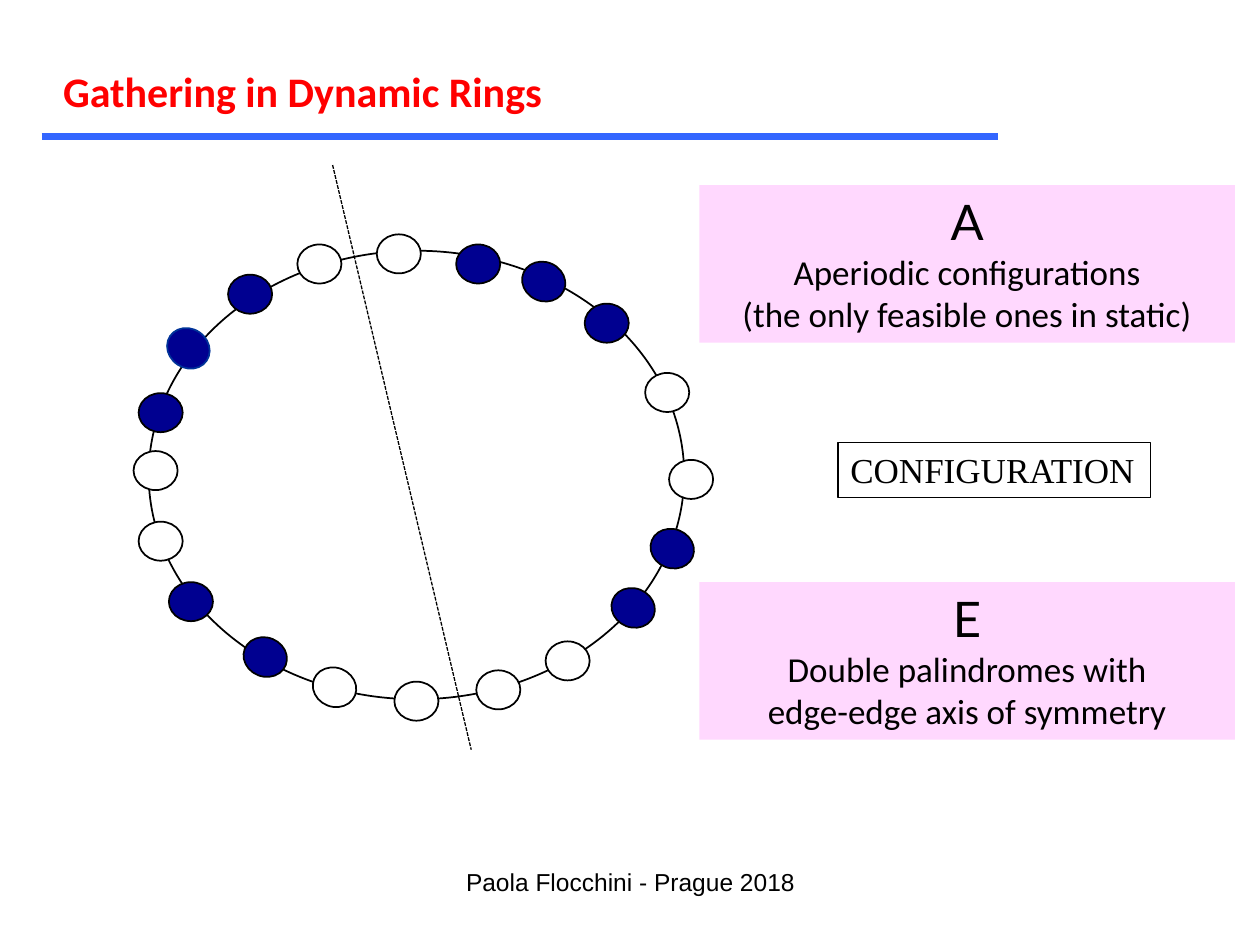
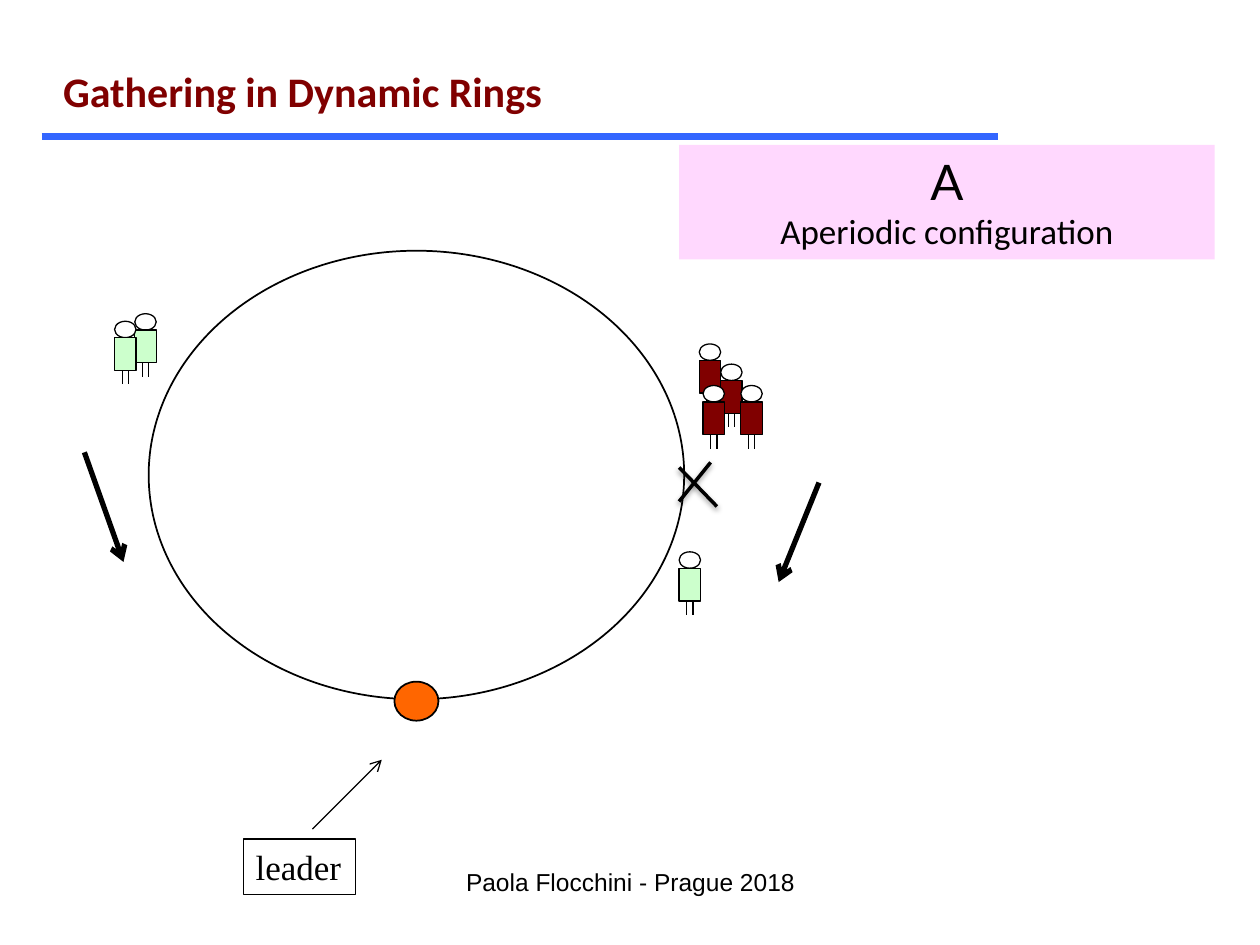
from lxml import etree
from pptx import Presentation
from pptx import util as u
from pptx.dml.color import RGBColor
from pptx.enum import dml, shapes, text
from pptx.oxml import ns

COLORS = {
    "black": "000000", "white": "FFFFFF", "navy": "000090", "blue": "003399",
    "band": "3366FF", "red": "FF0000", "maroon": "800000", "pink": "FFD8FE",
    "orange": "FF6600", "green": "CCFFCC",
}
OVAL, RECTANGLE = shapes.MSO_SHAPE.OVAL, shapes.MSO_SHAPE.RECTANGLE
STRAIGHT = shapes.MSO_CONNECTOR.STRAIGHT
LEFT, CENTER = text.PP_ALIGN.LEFT, text.PP_ALIGN.CENTER
NODE_SIZE = (u.Inches(0.35), u.Inches(0.31))


def write_text(shape, content, size=20, font="Calibri", color="black",
               bold=False, align=LEFT, wrap=True, first_size=None, first_font=None):
    """Fill a shape with one paragraph per line; the first may differ."""
    frame = shape.text_frame
    frame.text = content
    frame.word_wrap = wrap
    frame.auto_size = text.MSO_AUTO_SIZE.NONE
    frame.vertical_anchor = text.MSO_ANCHOR.TOP
    for index, paragraph in enumerate(frame.paragraphs):
        first = index == 0
        paragraph.alignment = align
        paragraph.font.size = u.Pt(first_size if first and first_size else size)
        paragraph.font.name = first_font if first and first_font else font
        paragraph.font.bold = bold
        paragraph.font.color.rgb = RGBColor.from_string(COLORS[color])


def paint(shape, line="black", width=0.75, fill=None, dash=None, arrow=False, shadow=False):
    """Format a shape or connector; None means no line or no fill."""
    if line:
        shape.line.color.rgb = RGBColor.from_string(COLORS[line])
        shape.line.width = u.Pt(width)
        if dash:
            shape.line.dash_style = dash
    else:
        shape.line.fill.background()
    if fill:
        shape.fill.solid()
        shape.fill.fore_color.rgb = RGBColor.from_string(COLORS[fill])
    elif hasattr(shape, "fill"):
        shape.fill.background()
    if arrow:
        etree.SubElement(shape.line._get_or_add_ln(), ns.qn("a:tailEnd"), type="arrow")
    effects = etree.SubElement(shape._element.spPr, ns.qn("a:effectLst"))
    if shadow:
        outer = etree.SubElement(effects, ns.qn("a:outerShdw"), blurRad=str(u.Pt(3.1)),
                                 dist=str(u.Pt(1.6)), dir="5400000", rotWithShape="0")
        tint = etree.SubElement(outer, ns.qn("a:srgbClr"), val=COLORS["black"])
        etree.SubElement(tint, ns.qn("a:alpha"), val="38000")


presentation = Presentation()
presentation.slide_width, presentation.slide_height = u.Inches(10), u.Inches(7.5)
title_only = presentation.slide_layouts[5]

# Shared frame: title, band, footer and ring
slides = []
for title_color in ("red", "maroon"):
    slide = presentation.slides.add_slide(title_only)
    slides.append(slide)
    title = slide.shapes.title
    title.left, title.top = u.Inches(0.4), u.Inches(0.47)
    title.width, title.height = u.Inches(4.05), u.Inches(0.5)
    write_text(title, "Gathering in Dynamic Rings", size=24, color=title_color,
               bold=True, wrap=False)
    band = slide.shapes.add_connector(
        STRAIGHT, u.Inches(0.33), u.Inches(1.08), u.Inches(7.92), u.Inches(1.08))
    paint(band, "band", 4)
    footer = slide.shapes.add_textbox(
        u.Inches(3.42), u.Inches(6.83), u.Inches(3.17), u.Inches(0.5))
    write_text(footer, "Paola Flocchini - Prague 2018", size=14, font="Arial", align=CENTER)
    ring = slide.shapes.add_shape(
        OVAL, u.Inches(1.18), u.Inches(1.99), u.Inches(4.25), u.Inches(3.56))
    paint(ring, width=1)
configuration_slide, aperiodic_slide = slides

# Pink boxes: slide, left, top, height, lines
for slide, left, top, height, content in (
    (configuration_slide, 5.55, 1.47, 1.25,
     "A\nAperiodic configurations\n(the only feasible ones in static)"),
    (configuration_slide, 5.55, 4.62, 1.25,
     "E\nDouble palindromes with\nedge-edge axis of symmetry"),
    (aperiodic_slide, 5.39, 1.15, 0.91, "A\nAperiodic configuration"),
):
    box = slide.shapes.add_shape(
        RECTANGLE, u.Inches(left), u.Inches(top), u.Inches(4.25), u.Inches(height))
    paint(box, line=None, fill="pink")
    write_text(box, content, align=CENTER, first_size=28, first_font="Lato")

# Outlined labels
for slide, left, top, width, content in (
    (configuration_slide, 6.65, 3.51, 2.48, "CONFIGURATION"),
    (aperiodic_slide, 1.93, 6.66, 0.89, "leader"),
):
    label = slide.shapes.add_shape(
        RECTANGLE, u.Inches(left), u.Inches(top), u.Inches(width), u.Inches(0.44))
    paint(label)
    write_text(label, content, font="Times New Roman", wrap=False)

# Slide 1: ring nodes clockwise from the top (left, top, fill, rotation, line)
nodes = configuration_slide.shapes.add_group_shape()
for left, top, fill, rotation, line in (
    (2.99, 1.86, "white", 0, "black"),
    (3.62, 1.94, "navy", 0, "black"),
    (4.14, 2.08, "navy", 24.4, "black"),
    (4.64, 2.41, "navy", 0, "black"),
    (5.12, 2.96, "white", 0, "black"),
    (5.31, 3.65, "white", 0, "black"),
    (5.16, 4.2, "navy", 21.5, "black"),
    (4.85, 4.67, "navy", 21.5, "black"),
    (4.33, 5.09, "white", 0, "black"),
    (3.78, 5.32, "white", 0, "black"),
    (3.13, 5.41, "white", 0, "black"),
    (2.48, 5.3, "white", 21.5, "black"),
    (1.93, 5.06, "navy", 21.5, "black"),
    (1.34, 4.62, "navy", 0, "black"),
    (1.1, 4.14, "white", 0, "black"),
    (1.06, 3.58, "white", 0, "black"),
    (1.1, 3.12, "navy", 0, "black"),
    (1.32, 2.61, "navy", 33.8, "blue"),
    (1.81, 2.18, "navy", 0, "black"),
    (2.36, 1.94, "white", 0, "black"),
):
    node = nodes.shapes.add_shape(OVAL, u.Inches(left), u.Inches(top), *NODE_SIZE)
    node.rotation = rotation
    paint(node, line, 1, fill)

# Slide 1: axis of symmetry
axis = configuration_slide.shapes.add_connector(
    STRAIGHT, u.Inches(2.64), u.Inches(1.31), u.Inches(3.74), u.Inches(5.95))
paint(axis, dash=dml.MSO_LINE.SQUARE_DOT)

# Slide 2: leader node
leader = aperiodic_slide.shapes.add_shape(OVAL, u.Inches(3.13), u.Inches(5.41), *NODE_SIZE)
paint(leader, width=1, fill="orange")

# Slide 2: agents, each a head, a body and two legs
for left, top, color in (
    (5.55, 2.73, "maroon"), (5.72, 2.89, "maroon"),
    (5.58, 3.06, "maroon"), (5.88, 3.06, "maroon"),
    (1.07, 2.49, "green"), (0.91, 2.55, "green"), (5.39, 4.38, "green"),
):
    agent = aperiodic_slide.shapes.add_group_shape()
    for preset, offset, height, fill in ((OVAL, 0, 0.13, "white"), (RECTANGLE, 0.13, 0.26, color)):
        part = agent.shapes.add_shape(
            preset, u.Inches(left), u.Inches(top + offset), u.Inches(0.17), u.Inches(height))
        paint(part, fill=fill)
    for offset in (0.06, 0.11):
        leg = agent.shapes.add_connector(
            STRAIGHT, u.Inches(left + offset), u.Inches(top + 0.39),
            u.Inches(left + offset), u.Inches(top + 0.5))
        paint(leg)

# Slide 2: arrows and the cross on the missing edge
for start_x, start_y, end_x, end_y, width, is_arrow in (
    (6.5, 3.83, 6.18, 4.62, 3, True),
    (0.67, 3.59, 0.98, 4.46, 3, True),
    (2.48, 6.58, 3.03, 6.03, 0.75, True),
    (5.39, 3.71, 5.69, 4.02, 2, False),
    (5.64, 3.67, 5.39, 3.98, 2, False),
):
    stroke = aperiodic_slide.shapes.add_connector(
        STRAIGHT, u.Inches(start_x), u.Inches(start_y), u.Inches(end_x), u.Inches(end_y))
    paint(stroke, width=width, arrow=is_arrow, shadow=not is_arrow)

presentation.save("out.pptx")
